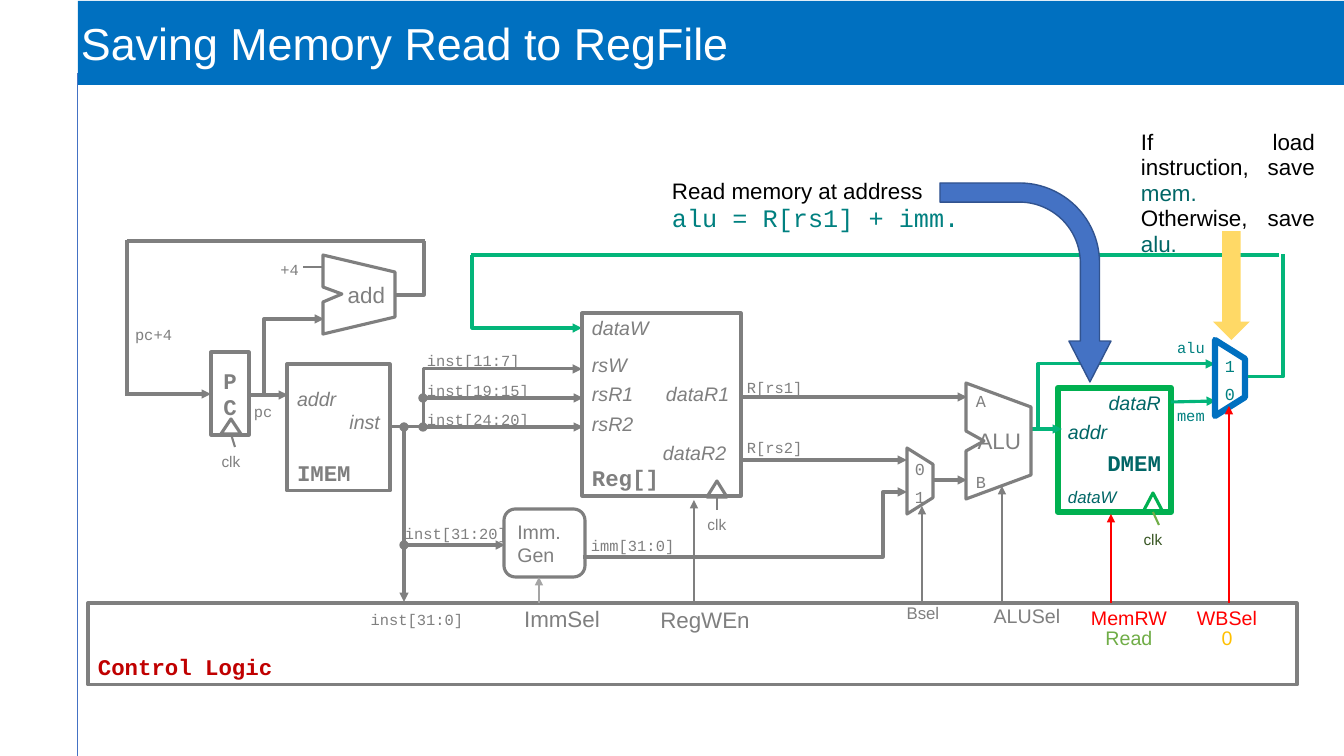
from dataclasses import dataclass
from typing import Any

from lxml.etree import SubElement
from pptx import Presentation
from pptx.dml.color import RGBColor
from pptx.enum.shapes import MSO_CONNECTOR, MSO_SHAPE
from pptx.enum.text import MSO_ANCHOR, PP_ALIGN
from pptx.oxml.ns import qn
from pptx.util import Emu, Pt

SCALE = 914400 / 100.8
ARIAL, MONO = "Arial", "Courier New"
LEFT, MID, RIGHT, FULL = PP_ALIGN.LEFT, PP_ALIGN.CENTER, PP_ALIGN.RIGHT, PP_ALIGN.JUSTIFY
TOP, CENTER, BOTTOM = MSO_ANCHOR.TOP, MSO_ANCHOR.MIDDLE, MSO_ANCHOR.BOTTOM

WHITE = RGBColor(0xFF, 0xFF, 0xFF)
BLACK = RGBColor(0, 0, 0)
GRAY = RGBColor(0x7F, 0x7F, 0x7F)
SILVER = RGBColor(0xA5, 0xA5, 0xA5)
BLUE = RGBColor(0x00, 0x70, 0xC0)
AZURE = RGBColor(0x44, 0x72, 0xC4)
NAVY = RGBColor(0x31, 0x53, 0x8F)
GREEN = RGBColor(0x00, 0xB0, 0x50)
MINT = RGBColor(0x03, 0xB5, 0x7A)
LEAF = RGBColor(0x70, 0xAD, 0x47)
MOSS = RGBColor(0x38, 0x56, 0x23)
TEAL = RGBColor(0x00, 0x80, 0x80)
DEEP = RGBColor(0x00, 0x66, 0x66)
RED = RGBColor(0xFF, 0, 0)
BRICK = RGBColor(0xC0, 0, 0)
AMBER = RGBColor(0xFF, 0xC0, 0)
SAND = RGBColor(0xFF, 0xD9, 0x66)


def px(n):
    return Emu(round(n * SCALE))


@dataclass
class Line:
    text: str
    size: int = 14
    color: RGBColor = GRAY
    font: str = ARIAL
    align: Any = LEFT
    bold: bool = False
    italic: bool = False
    before: int = 0
    pitch: float = 1.0
    tab: int = 0
    tail: str = ""


def write(shape, lines, anchor, pad=(10, 5)):
    frame = shape.text_frame
    frame.word_wrap = True
    frame.vertical_anchor = anchor
    frame.margin_left = frame.margin_right = px(pad[0])
    frame.margin_top = frame.margin_bottom = px(pad[1])
    for i, line in enumerate(lines):
        para = frame.add_paragraph() if i else frame.paragraphs[0]
        para.alignment, para.line_spacing = line.align, line.pitch
        if line.before:
            para.space_before = Pt(line.before)
        if line.tab:
            stops = SubElement(para._p.get_or_add_pPr(), qn("a:tabLst"))
            SubElement(stops, qn("a:tab"), pos=str(px(line.tab)), algn="l")
        font = para.font
        font.name, font.size, font.color.rgb = line.font, Pt(line.size), line.color
        font.bold, font.italic = line.bold, line.italic
        para.add_run().text = line.text
        if line.tail:
            run = para.add_run()
            run.text, run.font.color.rgb = line.tail, DEEP


def paint(shape, fill, edge, width):
    shape.shadow.inherit = False
    if fill is None:
        shape.fill.background()
    else:
        shape.fill.solid()
        shape.fill.fore_color.rgb = fill
    if edge is None:
        shape.line.fill.background()
    else:
        shape.line.color.rgb, shape.line.width = edge, Pt(width)
    return shape


@dataclass
class Pane:
    """A region of the slide; every part is placed from its top left corner."""
    shapes: Any
    x: int
    y: int

    def spot(self, x, y):
        return px(self.x + x), px(self.y + y)

    def block(self, x, y, w, h, kind=MSO_SHAPE.RECTANGLE, fill=None, edge=GRAY, width=2.25):
        shape = self.shapes.add_shape(kind, *self.spot(x, y), px(w), px(h))
        return paint(shape, fill, edge, width)

    def turned(self, kind, adjust, x, y, w, h, **look):
        """A shape turned a quarter right that covers the given box."""
        shape = self.block(x + (w - h) / 2, y + (h - w) / 2, h, w, kind, **look)
        shape.rotation = 90
        for i, value in enumerate(adjust):
            shape.adjustments[i] = value

    def label(self, x, y, w, h, *lines, anchor=TOP, pad=(10, 5)):
        write(self.shapes.add_textbox(*self.spot(x, y), px(w), px(h)), lines, anchor, pad)

    def code(self, x, y, w, text, color=GRAY, align=LEFT):
        self.label(x, y, w, 29, Line(text, 11, color, MONO, align))

    def wire(self, x1, y1, x2, y2, color=GRAY, width=2.25, head=None, tail="triangle", bend=None):
        """A straight line, or an elbow whose upright part stands at bend."""
        kind = MSO_CONNECTOR.STRAIGHT if bend is None else MSO_CONNECTOR.ELBOW
        line = self.shapes.add_connector(kind, *self.spot(x1, y1), *self.spot(x2, y2))
        line.line.color.rgb, line.line.width = color, Pt(width)
        props = line.element.spPr
        for end, form in (("a:headEnd", head), ("a:tailEnd", tail)):
            if form:
                SubElement(props.find(qn("a:ln")), qn(end), type=form)
        if bend is not None:
            ratio = round((bend - x1) / (x2 - x1) * 100000)
            stops = props.find(qn("a:prstGeom")).get_or_add_avLst()
            SubElement(stops, qn("a:gd"), name="adj1", fmla=f"val {ratio}")
        SubElement(props, qn("a:effectLst"))

    def clock(self, x, y, h, lean, edge=GRAY, tick=GRAY, ink=GRAY):
        self.block(x - 10, y, 20, h, MSO_SHAPE.ISOSCELES_TRIANGLE, edge=edge)
        self.wire(x, y + h, x + lean, y + h + 13, tick, 1.5, tail=None)
        self.label(x - 25, y + h + 13, 50, 29, Line("clk", 11, ink, align=MID))

    def adder(self, x, y, w, h, *lines):
        rim = ((0, .41), (.27, .5), (0, .59), (0, 1), (1, .79), (1, .21))
        form = self.shapes.build_freeform(x, y, scale=SCALE)
        form.add_line_segments([(round(x + a * w), round(y + b * h)) for a, b in rim])
        write(paint(form.convert_to_shape(*self.spot(0, 0)), None, GRAY, 2.25), lines, CENTER)

    def mux(self, x, y, w, h, digits, ink, edge, width):
        self.turned(MSO_SHAPE.TRAPEZOID, [.628], x, y, w, h, edge=edge, width=width)
        lines = [Line(d, 12, ink, MONO, MID, before=6 * i) for i, d in enumerate(digits)]
        self.label(x, y, w, h + 4, *lines, anchor=CENTER, pad=(0, 0))


def title(pane):
    bar = pane.block(0, 0, 1266, 84, fill=BLUE, edge=None)
    write(bar, [Line("Saving Memory Read to RegFile", 32, WHITE)], CENTER, (3, 3))
    pane.wire(0, 72, 0, 755, AZURE, .75, tail=None)


def fetch(pane):
    pane.adder(203, 15, 72, 79, Line("add", 16, align=RIGHT))
    pane.code(146, 15, 43, "+4", align=RIGHT)
    pane.wire(204, 27, 183, 27, width=1.5, tail=None)
    pane.wire(275, 55, 304, 1, tail=None, bend=304)
    pane.wire(7, 1, 305, 1, tail=None)
    pane.wire(7, 0, 7, 156, tail=None)
    pane.wire(7, 154, 91, 154)
    pane.code(5, 80, 64, "pc+4")
    counter = pane.block(91, 112, 38, 83)
    write(counter, [Line("PC", 16, font=MONO, align=MID, bold=True)], CENTER, (7, 4))
    pane.clock(111, 179, 15, 4)
    pane.code(124, 157, 44, "pc")
    pane.wire(129, 155, 168, 155)
    pane.wire(144, 157, 204, 79, bend=144)
    write(pane.block(167, 124, 103, 127), [
        Line("addr", italic=True), Line("inst", align=RIGHT, italic=True),
        Line("IMEM", 16, font=MONO, bold=True, before=18)], BOTTOM)


def decode(pane):
    pane.wire(-10, 187, 182, 129, bend=24)
    for y in (158, 187):
        pane.wire(23, y, 183, y, head="oval")
    pane.wire(4, 187, 4, 362, head="oval")
    pane.wire(4, 305, 105, 305, head="oval")
    fields = ("inst[11:7]", "inst[19:15]", "inst[24:20]")
    pane.label(17, 106, 130, 89, *[
        Line(f, 11, font=MONO, before=8 if i else 0) for i, f in enumerate(fields)])
    pane.code(-5, 279, 130, "inst[31:20]")
    write(pane.block(104, 269, 81, 68, MSO_SHAPE.ROUNDED_RECTANGLE), [Line("Imm. Gen")], CENTER)
    pane.code(181, 291, 112, "imm[31:0]")
    write(pane.block(182, 73, 159, 183), [
        Line("dataW", italic=True), Line("rsW", italic=True, before=10),
        Line("rsR1\tdataR1", italic=True, before=4, tab=74),
        Line("rsR2", italic=True, before=4),
        Line("\tdataR2", italic=True, before=4, tab=71),
        Line("Reg[]", 16, font=MONO, bold=True)], BOTTOM)
    pane.clock(317, 241, 16, 0)
    pane.code(337, 133, 82, "R[rs1]")
    pane.code(337, 193, 82, "R[rs2]")


def execute(pane):
    pane.wire(-277, 177, 47, 112, bend=23)
    pane.wire(-117, 80, 47, 80)
    pane.wire(-118, 17, 107, 17)
    pane.mux(47, 68, 26, 66, "01", GRAY, GRAY, 2.25)
    pane.wire(72, 100, 107, 100)
    pane.adder(106, 3, 65, 116, Line("A", 12, font=MONO),
               Line("ALU", 16, align=RIGHT, before=12), Line("B", 12, font=MONO, before=12))


def memory(pane):
    write(pane.block(28, 148, 113, 124, edge=GREEN, width=4.5), [
        Line("dataR", 14, DEEP, align=RIGHT, italic=True),
        Line("addr", 14, DEEP, italic=True, before=4),
        Line("DMEM", 16, DEEP, MONO, RIGHT, bold=True, before=4),
        Line("dataW", 12, DEEP, italic=True, before=8)], BOTTOM)
    pane.clock(123, 253, 19, 6, GREEN, LEAF, MOSS)
    pane.code(137, 161, 54, "mem", TEAL)
    pane.code(137, 93, 54, "alu", TEAL)
    pane.wire(0, 189, 32, 189, MINT)
    pane.wire(8, 189, 185, 124, MINT, bend=8)
    pane.wire(141, 162, 186, 161, MINT)
    pane.mux(185, 100, 30, 76, "10", TEAL, BLUE, 4.5)
    pane.wire(218, 137, 253, 14, MINT, tail=None, bend=253)
    pane.wire(-559, 15, 249, 15, MINT, tail=None)
    pane.wire(-558, 15, -448, 88, MINT, bend=-558)


def control(pane):
    write(pane.block(0, 0, 1209, 82), [Line("Control Logic", 16, BRICK, MONO, bold=True)], BOTTOM)
    pane.label(264, 5, 130, 27, Line("inst[31:0]", 11, font=MONO, align=MID, pitch=.85))
    signals = (("ImmSel", 16, 474, 1, GRAY, 451, -26, SILVER, None),
               ("RegWEn", 16, 617, 2, GRAY, 606, -103, GRAY, None),
               ("Bsel", 12, 835, -2, GRAY, 834, -97, GRAY, None),
               ("ALUSel", 14, 939, 0, GRAY, 914, -117, GRAY, None),
               ("MemRW", 14, 1041, 2, RED, 1023, -89, RED, ("Read", LEAF)),
               ("WBSel", 14, 1139, 2, RED, 1141, -197, RED, ("0", AMBER)))
    for name, size, x, y, ink, stem, tip, color, value in signals:
        lines = [Line(name, size, ink, align=MID, pitch=.85)]
        if value:
            lines.append(Line(value[0], size, value[1], align=MID, pitch=.85))
        pane.label(x - 65, y, 130, 50, *lines)
        pane.wire(stem, 0, stem, tip, color, 1)


def notes(pane):
    pane.label(2, 54, 316, 66, Line("Read memory at address", 16, BLACK, pitch=.95),
               Line("alu = R[rs1] + imm.", 18, TEAL, MONO, pitch=.95))
    pane.label(471, 5, 194, 113, *[
        Line(text, 16, BLACK, align=FULL, pitch=.95, tail=tail) for text, tail in (
            ("If load instruction, save ", "mem."), ("Otherwise, save ", "alu."))])
    pane.block(553, 111, 37, 109, MSO_SHAPE.DOWN_ARROW, SAND, None)
    pane.turned(MSO_SHAPE.BENT_ARROW, [.112, .123, .239, .469], 280, 63, 171, 199,
                fill=AZURE, edge=NAVY, width=1)


def main():
    deck = Presentation()
    deck.slide_width, deck.slide_height = px(1344), px(756)
    shapes = deck.slides.add_slide(deck.slide_layouts[6]).shapes
    for draw, x, y in ((title, 78, 1), (memory, 1030, 240), (fetch, 120, 240), (decode, 400, 240),
                       (execute, 860, 380), (control, 88, 603), (notes, 660, 120)):
        draw(Pane(shapes, x, y))
    deck.save("out.pptx")


if __name__ == "__main__":
    main()
